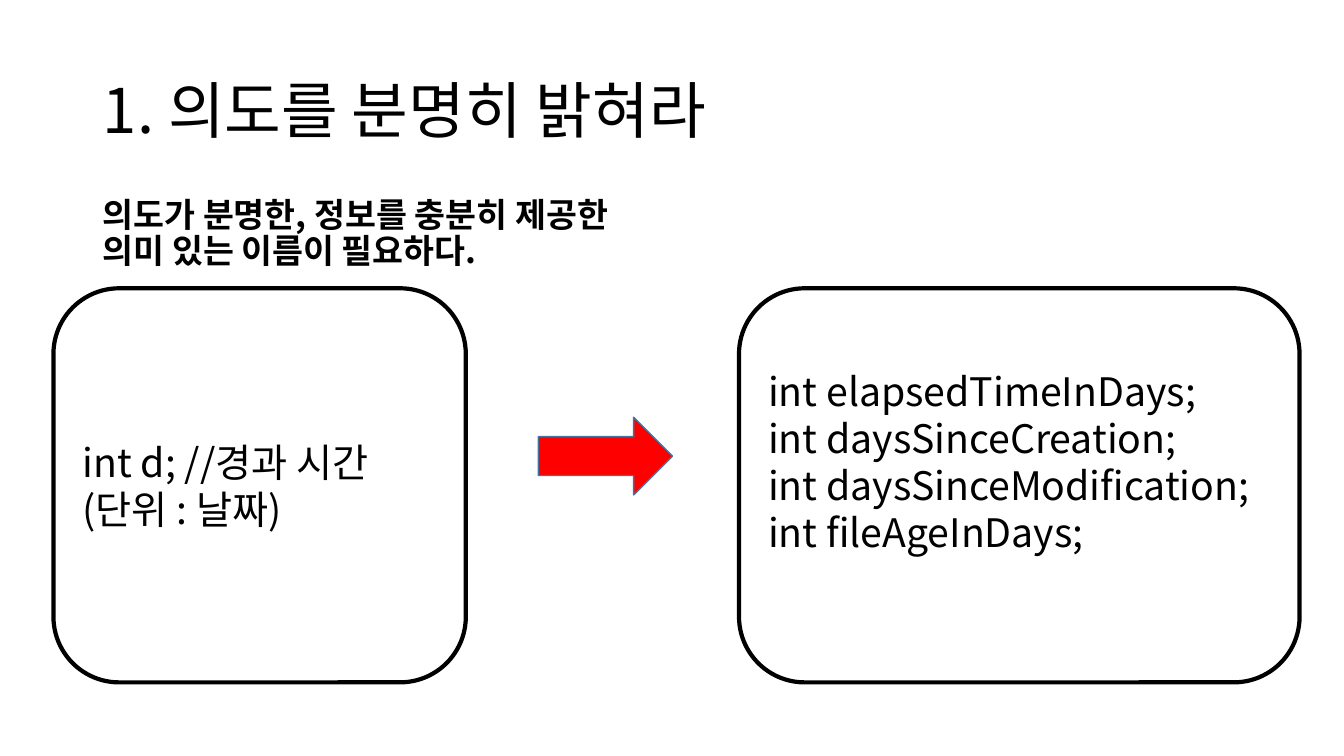
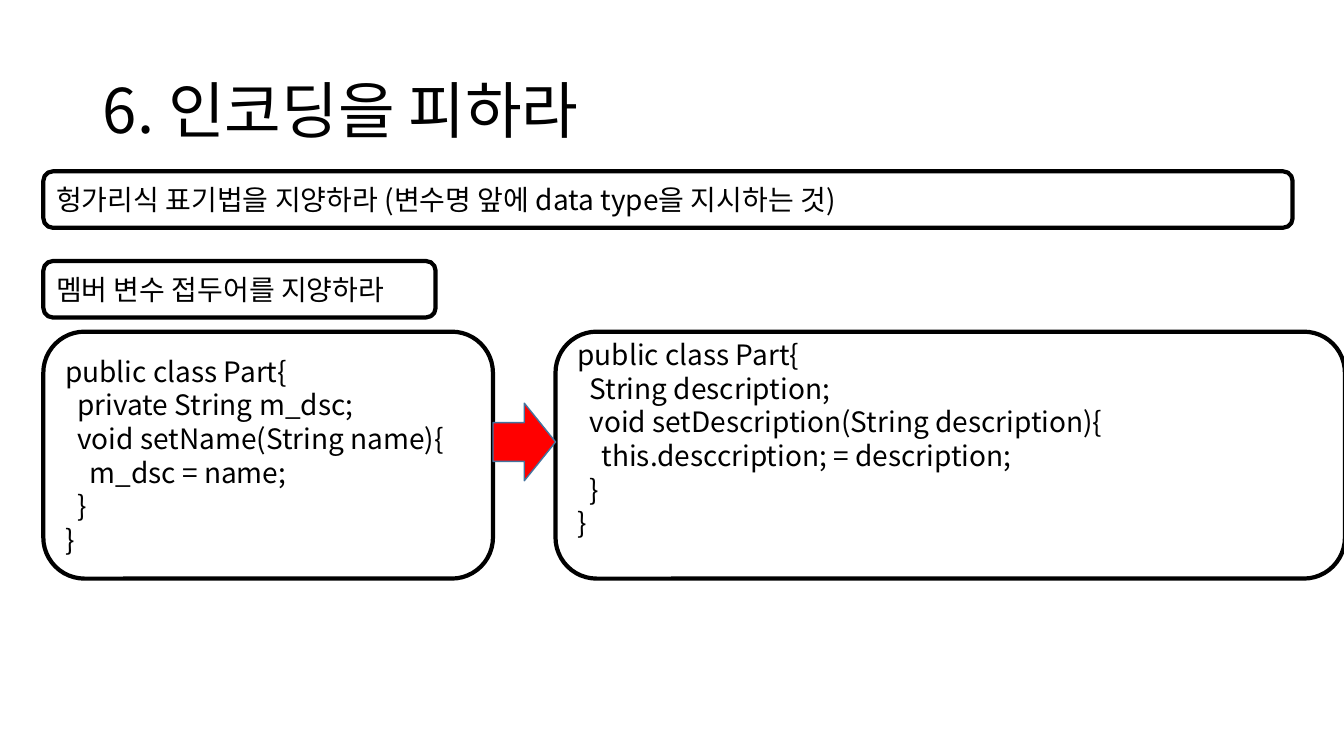
from pptx import Presentation
from pptx.dml.color import RGBColor
from pptx.enum.shapes import MSO_SHAPE
from pptx.enum.text import MSO_ANCHOR, MSO_AUTO_SIZE, PP_ALIGN
from pptx.oxml.ns import qn
from pptx.util import Inches, Pt
from lxml import etree

ROUNDED, ARROW = MSO_SHAPE.ROUNDED_RECTANGLE, MSO_SHAPE.RIGHT_ARROW
MIDDLE, BOTTOM = MSO_ANCHOR.MIDDLE, MSO_ANCHOR.BOTTOM
LEFT = PP_ALIGN.LEFT
NO_AUTOFIT = MSO_AUTO_SIZE.NONE

BLACK = RGBColor(0x00, 0x00, 0x00)
RED = RGBColor(0xFF, 0x00, 0x00)
STEEL = RGBColor(0x43, 0x73, 0x9E)
FONT = "Noto Sans CJK KR"
TITLE_AREA = (0.92, 0.4, 11.5, 1.45)
INDENT = 0.12
INSET = 0.05

SLIDES = [
    {
        "title": "1. 의도를 분명히 밝혀라",
        "lead": ("의도가 분명한, 정보를 충분히 제공한 의미 있는 이름이 필요하다.",
                 (0.92, 1.84, 5.64, 0.9)),
        "size": 28,
        "line_height": 0.47,
        "rules": [],
        "before": ([(0, "int d; //경과 시간(단위 : 날짜)")], (0.53, 2.86, 4.09, 3.91)),
        "after": ([(0, "int elapsedTimeInDays;"),
                   (0, "int daysSinceCreation;"),
                   (0, "int daysSinceModification;"),
                   (0, "int fileAgeInDays;")], (7.33, 2.86, 5.56, 3.91)),
        "arrow": (5.34, 4.14, 1.33, 0.77),
    },
    {
        "title": "6. 인코딩을 피하라",
        "lead": None,
        "size": 20,
        "line_height": 0.33,
        "rules": [
            ("헝가리식 표기법을 지양하라 (변수명 앞에 data type을 지시하는 것)",
             (0.43, 1.7, 12.39, 0.56)),
            ("멤버 변수 접두어를 지양하라", (0.43, 2.59, 3.89, 0.56)),
        ],
        "before": ([(0, "public class Part{"),
                    (1, "private String m_dsc;"),
                    (1, "void setName(String name){"),
                    (2, "m_dsc = name;"),
                    (1, "}"),
                    (0, "}")], (0.43, 3.29, 4.46, 2.45)),
        "after": ([(0, "public class Part{"),
                   (1, "String description;"),
                   (1, "void setDescription(String description){"),
                   (2, "this.desccription; = description;"),
                   (1, "}"),
                   (0, "}")], (5.51, 3.29, 7.83, 2.45)),
        "arrow": (4.89, 4, 0.62, 0.77),
    },
]


def inches(area):
    return [Inches(length) for length in area]


def write(frame, lines, *, size, bold=False, anchor=MIDDLE, spacing=None,
          before=0, bottom=INSET):
    frame.word_wrap = True
    frame.auto_size = NO_AUTOFIT
    frame.vertical_anchor = anchor
    frame.margin_bottom = Inches(bottom)
    for number, (level, text) in enumerate(lines):
        paragraph = frame.add_paragraph() if number else frame.paragraphs[0]
        paragraph.alignment = LEFT
        paragraph.space_before = Pt(before)
        if spacing:
            paragraph.line_spacing = spacing
        if level:
            paragraph._p.get_or_add_pPr().set("marL", str(Inches(level * INDENT)))
        run = paragraph.add_run()
        run.text = text
        font = run.font
        font.name, font.size, font.bold = FONT, Pt(size), bold
        font.color.rgb = BLACK
        east_asian = etree.SubElement(run._r.get_or_add_rPr(), qn("a:ea"))
        east_asian.set("typeface", FONT)


def add_outlined(slide, kind, area, line, width, fill=None):
    shape = slide.shapes.add_shape(kind, *inches(area))
    shape.shadow.inherit = False
    if fill is None:
        shape.fill.background()
    else:
        shape.fill.solid()
        shape.fill.fore_color.rgb = fill
    shape.line.color.rgb = line
    shape.line.width = Pt(width)
    return shape


def add_box(slide, lines, area, **text_format):
    box = add_outlined(slide, ROUNDED, area, BLACK, 3)
    write(box.text_frame, lines, **text_format)


def build(deck, content):
    slide = deck.slides.add_slide(deck.slide_layouts[5])
    title = slide.shapes.title
    title.left, title.top, title.width, title.height = inches(TITLE_AREA)
    write(title.text_frame, [(0, content["title"])], size=44, spacing=0.9)
    if content["lead"]:
        text, area = content["lead"]
        lead = slide.shapes.add_textbox(*inches(area))
        write(lead.text_frame, [(0, text)], size=24, bold=True, anchor=BOTTOM,
              spacing=0.9, before=10)
    size = content["size"]
    for text, area in content["rules"]:
        add_box(slide, [(0, text)], area, size=size)
    add_box(slide, *content["before"], size=size)
    add_box(slide, *content["after"], size=size,
            bottom=INSET + content["line_height"])
    add_outlined(slide, ARROW, content["arrow"], STEEL, 1, RED)


deck = Presentation()
deck.slide_width, deck.slide_height = inches((13.33, 7.5))
for content in SLIDES:
    build(deck, content)
deck.save("out.pptx")
